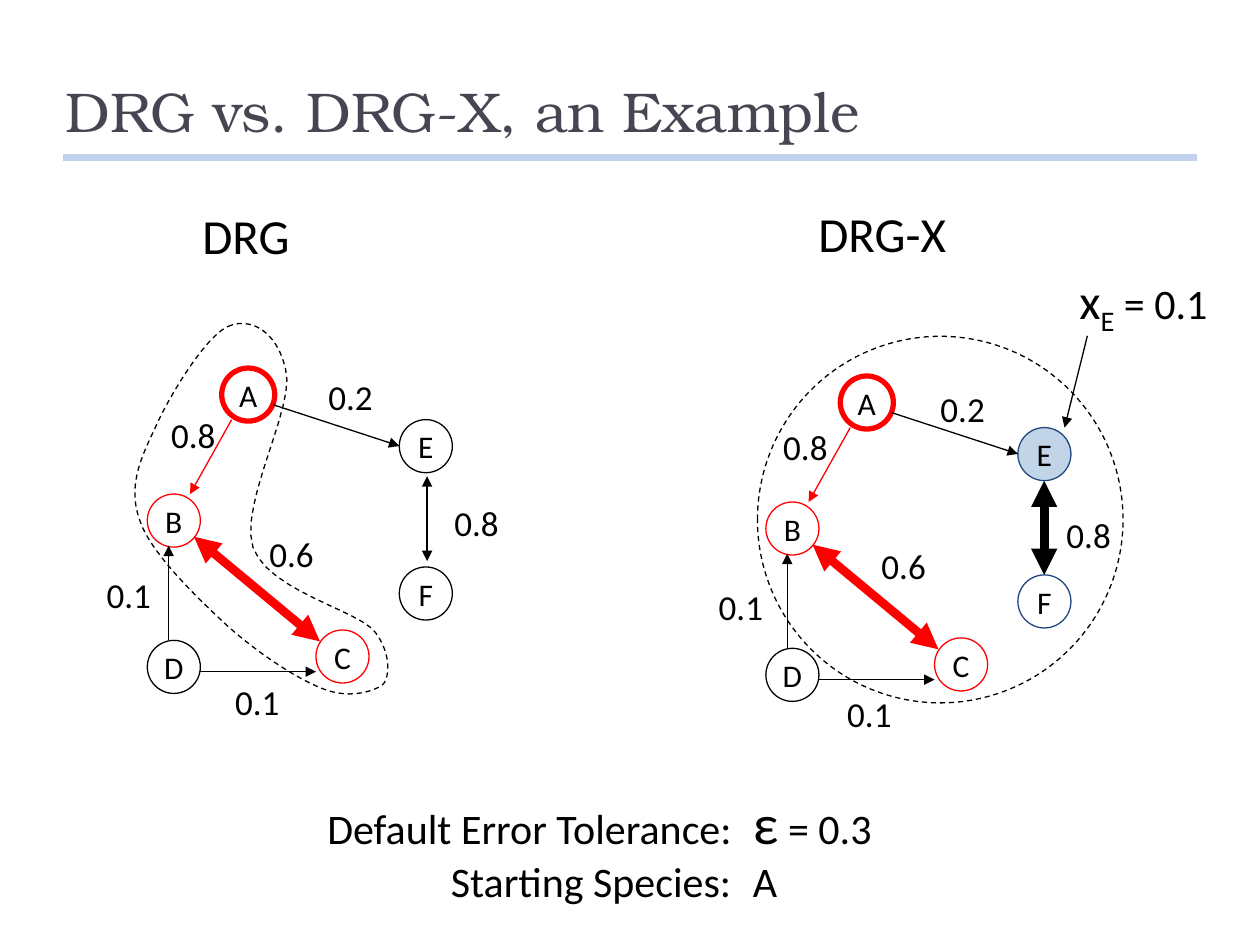
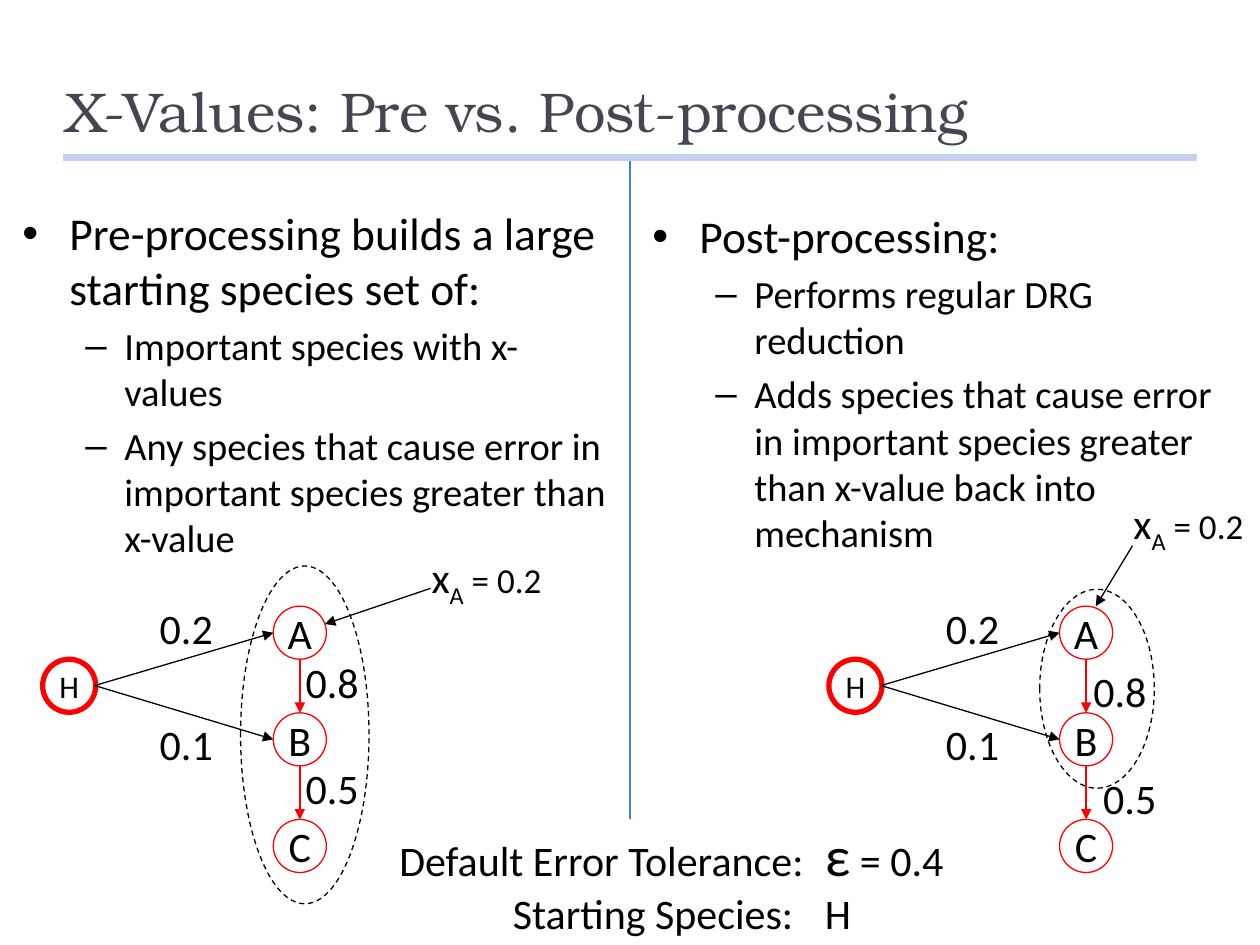
from lxml import etree
from pptx import Presentation
from pptx import util as u
from pptx.dml.color import RGBColor
from pptx.enum import dml, shapes, text
from pptx.oxml.ns import qn

HUE = {"title": "464653", "rule": "C2D1ED", "ink": "000000", "red": "FF0000",
       "navy": "1F497D", "blue": "4F81BD", "split": "4B7EBC"}
HEAD, BODY = "TeX Gyre Bonum", "Calibri"
DISC = 1.07  # node diameter
SUB = "sub"


def rgb(name):
    return RGBColor.from_string(HUE[name])


def style(run, size, hue="ink", face=BODY):
    run.font.size, run.font.name = u.Pt(size), face
    run.font.color.rgb = rgb(hue)


def place(box, x, y):
    """Turn a spot inside a box into a spot on the slide."""
    return u.Cm(box[0] + x), u.Cm(box[1] + y)


# Basic parts
def write(slide, box, at, dims, words="", size=20, wrap=True):
    frame = slide.shapes.add_textbox(*place(box, *at), *map(u.Cm, dims)).text_frame
    frame.word_wrap = wrap
    frame.text = words
    for run in frame.paragraphs[0].runs:
        style(run, size)
    return frame


def fill_runs(par, parts):
    for words, size, *mark in parts:
        run = par.add_run()
        run.text = words
        style(run, size)
        if SUB in mark:
            run._r.get_or_add_rPr().set("baseline", "-25000")


def link(slide, box, start, end, hue="ink", width=0.75, tips="tail"):
    line = slide.shapes.add_connector(
        shapes.MSO_CONNECTOR.STRAIGHT, *place(box, *start), *place(box, *end))
    line.line.color.rgb = rgb(hue)
    line.line.width = u.Pt(width)
    ends = {"": (), "tail": ("tailEnd",), "both": ("headEnd", "tailEnd")}[tips]
    for tag in ends:
        etree.SubElement(line.line._get_or_add_ln(), qn("a:" + tag), type="triangle")
    etree.SubElement(line._element.spPr, qn("a:effectLst"))


def trace(shape, hue="ink", width=0.75, dash=False):
    """Outline only, no fill or shadow."""
    shape.shadow.inherit = False
    shape.fill.background()
    shape.line.color.rgb = rgb(hue)
    shape.line.width = u.Pt(width)
    if dash:
        shape.line.dash_style = dml.MSO_LINE.DASH


def oval(slide, box, at, dims):
    return slide.shapes.add_shape(
        shapes.MSO_SHAPE.OVAL, *place(box, *at), *map(u.Cm, dims))


def node(slide, box, name, at, hue="ink", width=0.75, size=18):
    disc = oval(slide, box, at, (DISC, DISC))
    trace(disc, hue, width)
    frame = disc.text_frame
    frame.margin_left = frame.margin_right = frame.margin_top = frame.margin_bottom = 0
    frame.word_wrap = False
    frame.vertical_anchor = text.MSO_ANCHOR.MIDDLE
    frame.text = name
    frame.paragraphs[0].alignment = text.PP_ALIGN.CENTER
    style(frame.paragraphs[0].runs[0], size)
    return disc


def ring(slide, box, at, dims):
    trace(oval(slide, box, at, dims), dash=True)


def value(slide, box, at, name, amount, big, small, dims, wrap):
    """The x-value of one species."""
    frame = write(slide, box, at, dims, wrap=wrap)
    fill_runs(frame.paragraphs[0],
              [("x", big), (name, big, SUB), (" = " + amount, small)])


# Shared frame of both slides
def start(deck, words):
    slide = deck.slides.add_slide(deck.slide_layouts[5])
    title = slide.shapes.title
    title.left, title.top = u.Cm(1.07), u.Cm(0.64)
    title.width, title.height = u.Cm(22.86), u.Cm(3.18)
    frame = title.text_frame
    frame.text = words
    frame.vertical_anchor = text.MSO_ANCHOR.MIDDLE
    frame.paragraphs[0].alignment = text.PP_ALIGN.LEFT
    style(frame.paragraphs[0].runs[0], 32, "title", HEAD)
    link(slide, (1.27, 3.18), (0, 0), (22.86, 0), "rule", 4, "")
    return slide


def stops(par, *spots):
    tabs = etree.SubElement(par._p.get_or_add_pPr(), qn("a:tabLst"))
    for spot in spots:
        etree.SubElement(tabs, qn("a:tab"), pos=str(u.Cm(spot)), algn="l")


def terms(slide, box, limit, name, lead):
    """Tolerance and starting species, lined up with tabs."""
    frame = write(slide, box, (0, 0), (14.55, 2.64))
    first, second = frame.paragraphs[0], frame.add_paragraph()
    stops(first, 8.58)
    stops(second, lead, 8.58)
    fill_runs(first, [("Default Error Tolerance:\t", 24), ("ε", 32), (" = " + limit, 24)])
    fill_runs(second, [("\tStarting Species:\t" + name, 24)])


# Slide 1: species graph
SPOTS = {"A": (1.5, 0), "B": (0, 2.54), "D": (0, 5.49),
         "C": (3.4, 5.28), "F": (5.08, 4.01), "E": (5.08, 1.04)}
LINKS = [((1.7, 1.04), (0.86, 2.54), "red", 0.75, "tail"),
         ((0.43, 5.49), (0.43, 3.58), "ink", 0.75, "tail"),
         ((1.07, 6.12), (3.4, 6.12), "ink", 0.75, "tail"),
         ((0.94, 3.4), (3.48, 5.51), "red", 5, "both"),
         ((2.54, 0.74), (5.08, 1.57), "ink", 0.75, "tail")]
RATES = [("0.2", 3.4, 0.03), ("0.8", 5.94, 2.57), ("0.8", 0.23, 0.79),
         ("0.6", 2.21, 3.2), ("0.1", -1.07, 4.01), ("0.1", 1.52, 6.17)]
# Closed curve round A, B and C: two handles and an end point per row
CURVE = [((2.08, -1.04), (2.62, -0.74), (2.79, 0.03)),
         ((3, 0.76), (1.85, 2.72), (2.13, 3.61)),
         ((2.44, 4.5), (4.27, 4.88), (4.6, 5.33)),
         ((4.93, 5.77), (4.88, 6.25), (4.75, 6.38)),
         ((4.6, 6.5), (4.11, 6.68), (3.58, 6.48)),
         ((3.07, 6.3), (2.26, 5.77), (1.63, 5.21)),
         ((1.02, 4.65), (0.05, 3.71), (-0.15, 3.07)),
         ((-0.38, 2.44), (-0.18, 1.91), (0.13, 1.27)),
         ((0.41, 0.61), (1.17, -0.64), (1.63, -0.84))]


def graph(slide, box, name, top, shift, side):
    """Six species; side is the hue of E and F."""
    write(slide, box, top, (6.12, 1.45), name, 28)
    discs = {}
    for key, at in SPOTS.items():
        hue = "red" if key in "ABC" else side if key in "EF" else "ink"
        discs[key] = node(slide, box, key, at, hue, 3 if key == "A" else 0.75)
    for row in LINKS:
        link(slide, box, *row)
    for words, x, y in RATES:
        write(slide, box, (x + shift[0], y + shift[1]), (1.6, 1.12), words)
    return discs


def blob(slide, box):
    last, steps = CURVE[-1][-1], 12
    dots = []
    for one, two, end in CURVE:
        for step in range(1, steps + 1):
            t = step / steps
            s = 1 - t
            dots.append(place(box, *(
                s**3 * a + 3 * s * s * t * b + 3 * s * t * t * c + t**3 * d
                for a, b, c, d in zip(last, one, two, end))))
        last = end
    pen = slide.shapes.build_freeform(*dots[-1])
    pen.add_line_segments(dots[:-1], close=True)
    trace(pen.convert_to_shape(), dash=True)


def example(deck):
    slide = start(deck, "DRG vs. DRG-X, an Example")
    # DRG
    box = (2.97, 7.42)
    graph(slide, box, "DRG", (0.86, -3.4), (0, 0), "ink")
    link(slide, box, (5.64, 2.18), (5.64, 3.89), tips="both")
    blob(slide, box)
    # DRG-X
    box = (15.44, 7.58)
    discs = graph(slide, box, "DRG-X", (0.81, -3.61), (-0.13, 0.08), "navy")
    fill = discs["E"].fill
    fill.solid()
    fill.fore_color.rgb = rgb("blue")
    tint = discs["E"]._element.spPr.find(qn("a:solidFill"))[0]
    etree.SubElement(tint, qn("a:alpha"), val="34000")
    ring(slide, box, (-0.17, -0.8), (7.37, 7.39))
    link(slide, box, (5.61, 2.11), (5.61, 4.01), width=5, tips="both")
    value(slide, box, (6.07, -2.26), "E", "0.1", 28, 24, (3.5, 1.45), True)
    link(slide, box, (6.48, -0.81), (6.02, 1.04))
    terms(slide, (6.35, 15.77), "0.3", "A", 2.49)


# Slide 2: bullet columns and chains
def points(slide, box, dims, rows):
    frame = write(slide, box, (0, 0), dims)
    frame.text = "\n".join(rows)
    for rank, par in enumerate(frame.paragraphs):
        size, left, hang, mark = (22, 2.06, 0.79, "–") if rank else (26, 0.95, 0.95, "•")
        style(par.runs[0], size)
        par.level = min(rank, 1)
        par.space_before = u.Pt(size * 0.2)
        props = par._p.get_or_add_pPr()
        props.set("marL", str(u.Cm(left)))
        props.set("indent", str(-u.Cm(hang)))
        etree.SubElement(props, qn("a:buFont"), typeface="Arial")
        etree.SubElement(props, qn("a:buChar"), char=mark)


def chain(slide, box, rates, loop, spot, arrow):
    """H feeds A and B; A, B and C form a column."""
    left, gap = 4.65, 2.15
    mid = left + DISC / 2
    node(slide, box, "H", (0, DISC), "red", 3)
    for rank, name in enumerate("ABC"):
        top = rank * gap
        node(slide, box, name, (left, top), "red", size=24)
        if rank < 2:
            link(slide, box, (1.05, 1.6), (left, top + DISC / 2))
            link(slide, box, (mid, top + DISC), (mid, top + gap), "red")
    sides = [("0.2", (2.11, -0.2)), ("0.1", (2.11, 2.13))]
    for words, at in sides + list(zip(("0.8", "0.5"), rates)):
        write(slide, box, at, (1.7, 1.27), words, 24)
    ring(slide, box, *loop)
    value(slide, box, spot, "A", "0.2", 24, 20, (2.79, 1.27), False)
    link(slide, box, *arrow)


def compare(deck):
    slide = start(deck, "X-Values: Pre vs. Post-processing")
    points(slide, (0.2, 4.01), (12.27, 9.8), [
        "Pre-processing builds a large starting species set of:",
        "Important species with x-values",
        "Any species that cause error in important species greater than x-value"])
    points(slide, (12.9, 4.07), (12.5, 9.7), [
        "Post-processing:",
        "Performs regular DRG reduction",
        "Adds species that cause error in important species greater than "
        "x-value back into mechanism"])
    link(slide, (12.7, 3.25), (0, 0), (0, 13.26), "split", tips="")
    chain(slide, (0.86, 12.22), [(5.05, 0.89), (5.05, 3.02)],
          ((3.99, -0.81), (2.59, 6.81)), (7.59, -1.22), ((7.82, -0.36), (5.69, 0.36)))
    chain(slide, (16.71, 12.22), [(5.08, 1.07), (5.28, 3.23)],
          ((4.25, -0.34), (2.31, 4.01)), (5.89, -2.31), ((6.12, -1.22), (5.38, 0)))
    terms(slide, (7.8, 16.41), "0.4", "H", 2.29)


def main():
    deck = Presentation()
    deck.slide_width, deck.slide_height = u.Cm(25.4), u.Cm(19.05)
    example(deck)
    compare(deck)
    deck.save("out.pptx")


if __name__ == "__main__":
    main()
